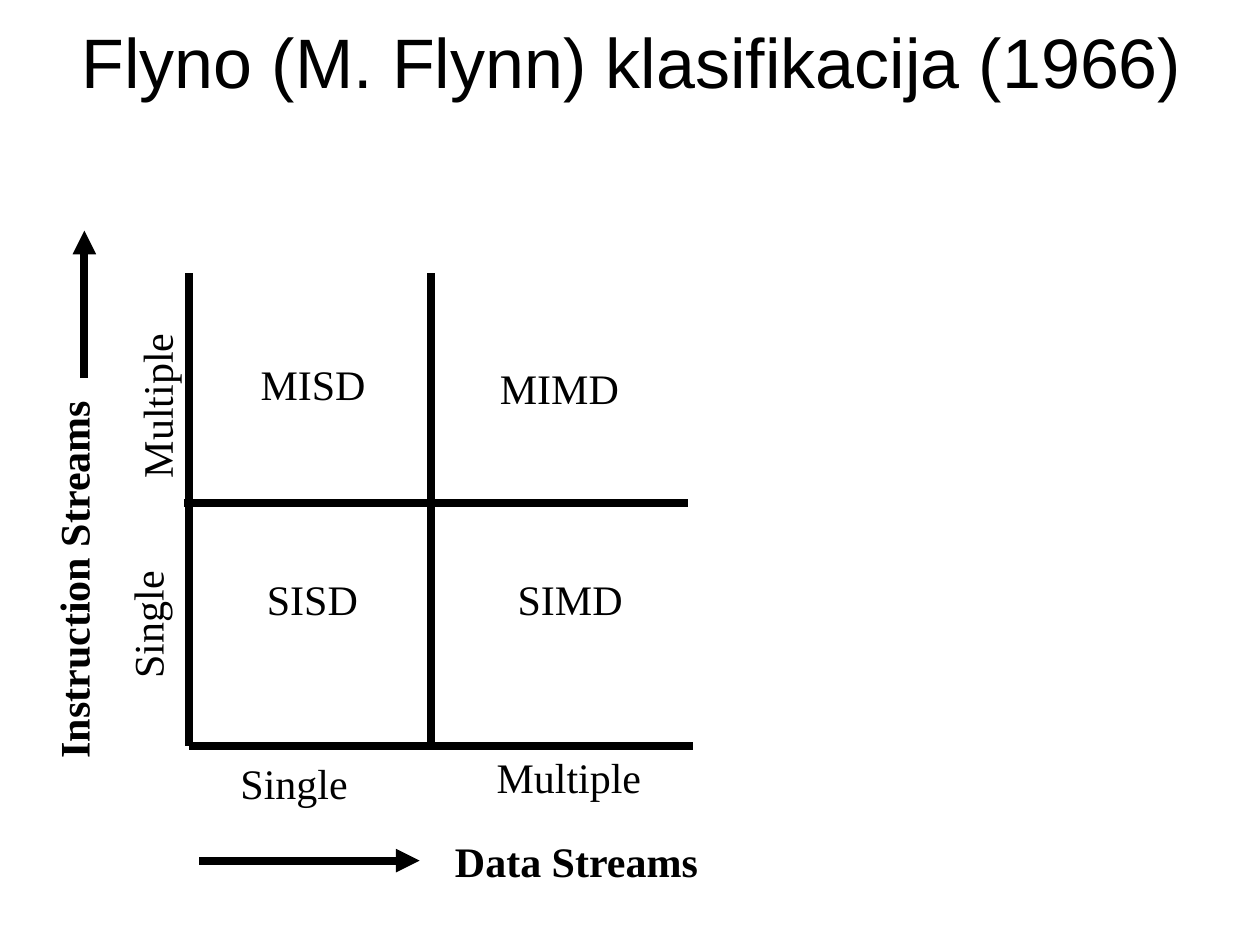
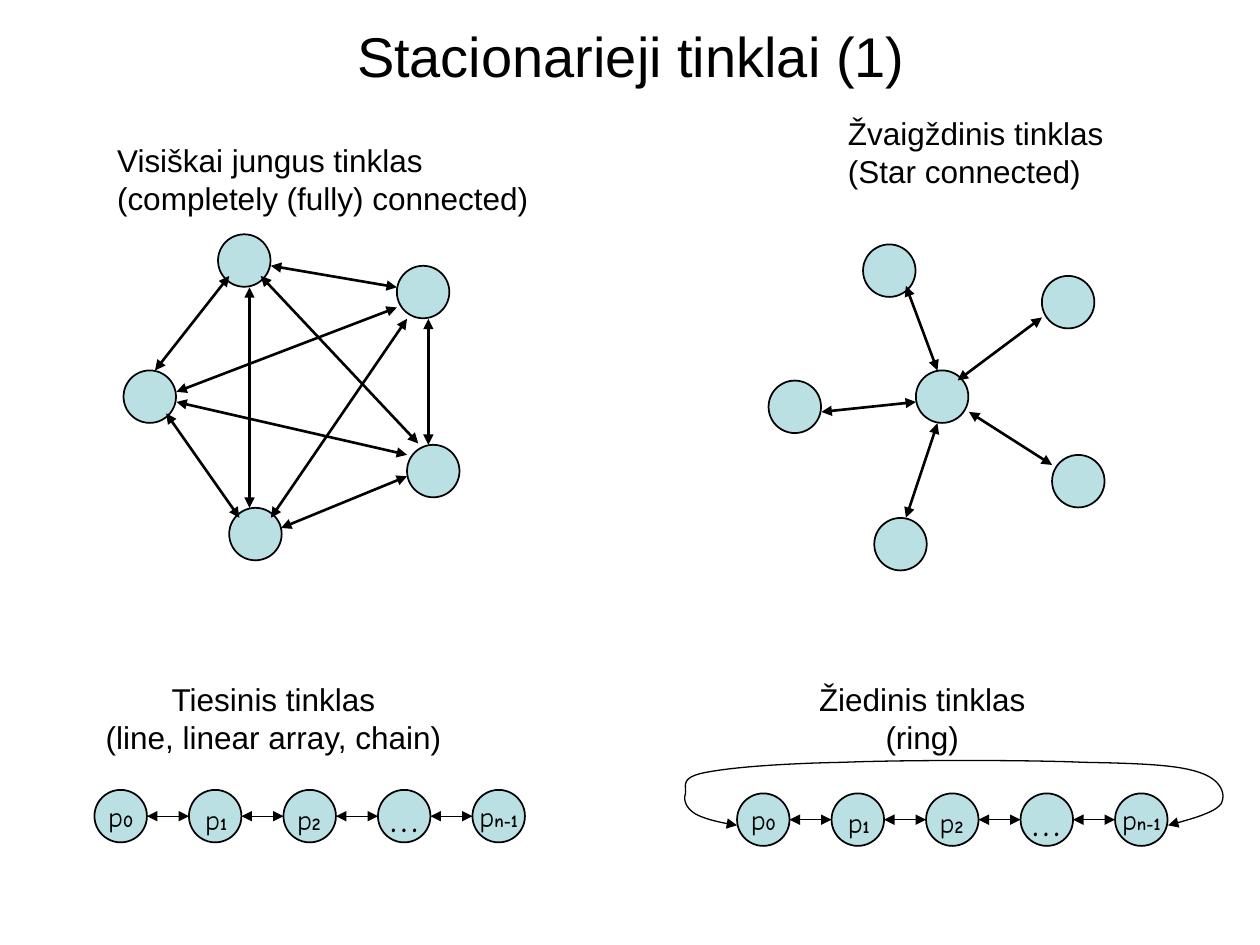
from lxml.etree import SubElement
from pptx import Presentation
from pptx.dml.color import RGBColor
from pptx.enum.shapes import MSO_CONNECTOR, MSO_SHAPE
from pptx.enum.text import MSO_ANCHOR, MSO_AUTO_SIZE, PP_ALIGN
from pptx.oxml.ns import qn
from pptx.util import Pt

INK = "000000"
TEAL = "BBE0E3"
SANS = "Arial"
SERIF = "Times New Roman"
COMIC = "Comic Neue"
SIZE = 30
PITCH = 54
SPARE = 12
BOTH = ("headEnd", "tailEnd")
TIP = ("tailEnd",)

MESH = [(124.6, 133.9), (70.6, 211.7), (232.6, 254.2), (131, 290.2), (226.8, 151.9)]
MESH_LINKS = [
    (232.6, 272.2, 160.6, 301.7),
    (232.6, 182.2, 154.8, 295.9),
    (142.6, 164.2, 142.6, 290.2),
    (136.8, 295.9, 95, 236.2),
    (244.8, 182.2, 244.8, 254.2),
    (226.8, 175.7, 100.8, 223.9),
    (131, 157.7, 88.6, 211.7),
    (226.8, 164.2, 154.8, 151.9),
    (239, 253.4, 149, 157.7),
    (232.6, 259.9, 100.8, 229.7),
]
STAR = [(x + 368.6, y + 5.8) for x, y in MESH] + [(523.4, 211.7)]
STAR_LINKS = [
    (535.7, 241.9, 517.7, 295.9),
    (595.4, 181.4, 547.2, 217.4),
    (601.2, 265.7, 553.7, 235.4),
    (517.7, 163.4, 535.7, 211.7),
    (523.4, 229.7, 469.4, 235.4),
]
LOOP = [
    (421.2, 471.6),
    (411.8, 470.2), (402.5, 468), (397.4, 465.1),
    (392.4, 462.2), (390.2, 457.2), (391.7, 453.6),
    (392.4, 449.3), (388.1, 444.2), (403.2, 441.4),
    (418.3, 438.5), (445.7, 436.3), (481.7, 435.6),
    (517.7, 434.2), (585.4, 434.2), (619.2, 435.6),
    (653, 436.3), (672.5, 437), (685.4, 441.4),
    (698.4, 445.7), (700.6, 454.3), (697.7, 459.4),
    (694.1, 464.4), (681.1, 468), (667.4, 471.6),
]


def tint(code):
    return RGBColor.from_string(code)


def style(run, size, face, bold=False):
    run.font.size = Pt(size)
    run.font.name = face
    run.font.bold = bold
    run.font.color.rgb = tint(INK)


def stroke(shape, width, heads=()):
    shape.line.color.rgb = tint(INK)
    shape.line.width = Pt(width)
    edge = shape._element.find(".//" + qn("a:ln"))
    for end in heads:
        SubElement(edge, qn("a:" + end), type="triangle")


def wire(shapes, ends, width, heads=()):
    line = shapes.add_connector(MSO_CONNECTOR.STRAIGHT, *map(Pt, ends))
    stroke(line, width, heads)
    SubElement(line._element.spPr, qn("a:effectLst"))


def label(shapes, text, spot, size, face, bold=False, align=PP_ALIGN.CENTER, turn=0):
    x, y, wide, high = spot
    if align == PP_ALIGN.CENTER:
        x -= SPARE / 2
    box = shapes.add_textbox(Pt(x), Pt(y), Pt(wide + SPARE), Pt(high))
    box.rotation = turn
    frame = box.text_frame
    frame.text = text
    frame.word_wrap = True
    for para in frame.paragraphs:
        para.alignment = align
        for run in para.runs:
            style(run, size, face, bold)
    return box


def index(para, mark):
    run = para.add_run()
    run.text = mark
    style(run, 10, COMIC, True)


def node(shapes, x, y):
    disc = shapes.add_shape(MSO_SHAPE.OVAL, Pt(x), Pt(y), Pt(SIZE), Pt(SIZE))
    disc.shadow.inherit = False
    disc.fill.solid()
    disc.fill.fore_color.rgb = tint(TEAL)
    stroke(disc, 1)
    return disc


def name(disc, text, size, mark=""):
    frame = disc.text_frame
    frame.word_wrap = False
    frame.vertical_anchor = MSO_ANCHOR.MIDDLE
    para = frame.paragraphs[0]
    para.text = text
    para.alignment = PP_ALIGN.CENTER
    style(para.runs[0], size, COMIC)
    if mark:
        index(para, mark)


def net(slide, spots, links):
    shapes = slide.shapes.add_group_shape().shapes
    for spot in spots:
        node(shapes, *spot)
    for link in links:
        wire(shapes, link, 1.5, BOTH)


def chain(slide, left, top):
    shapes = slide.shapes.add_group_shape().shapes
    discs = [node(shapes, left + i * PITCH, top) for i in range(5)]
    name(discs[0], "p", 16, "0")
    name(discs[3], "…", 24)
    name(discs[4], "p", 16, "n-1")
    mid = top + SIZE / 2
    for i in range(4):
        start = left + i * PITCH + SIZE
        wire(shapes, (start, mid, start + PITCH - SIZE, mid), 0.75, BOTH)
    for i, shift in ((1, 2.2), (2, 0.7)):
        spot = (left + i * PITCH + shift, top + 3.6, 27, 26.6)
        box = label(shapes, "p", spot, 16, COMIC, align=PP_ALIGN.LEFT)
        index(box.text_frame.paragraphs[0], str(i))
    return shapes


def bend(knots, steps=12):
    for i in range(0, len(knots) - 1, 3):
        a, b, c, d = knots[i:i + 4]
        for step in range(1, steps + 1):
            t = step / steps
            u = 1 - t
            yield tuple(
                Pt(u**3 * p + 3 * u * u * t * q + 3 * u * t * t * r + t**3 * s)
                for p, q, r, s in zip(a, b, c, d)
            )


def curve(shapes, knots):
    pen = shapes.build_freeform(*map(Pt, knots[0]))
    pen.add_line_segments(list(bend(knots)), close=False)
    path = pen.convert_to_shape()
    path.shadow.inherit = False
    path.fill.background()
    stroke(path, 0.75, BOTH)


def page(deck, text, size, high):
    slide = deck.slides.add_slide(deck.slide_layouts[5])
    head = slide.shapes.title
    head.left, head.top, head.width, head.height = map(Pt, (36.7, 15.1, 648, high))
    frame = head.text_frame
    frame.text = text
    frame.auto_size = MSO_AUTO_SIZE.NONE
    frame.margin_left = frame.margin_right = 0
    frame.vertical_anchor = MSO_ANCHOR.MIDDLE
    frame.paragraphs[0].alignment = PP_ALIGN.CENTER
    style(frame.paragraphs[0].runs[0], size, SANS)
    return slide


def classes(deck):
    shapes = page(deck, "Flyno (M. Flynn) klasifikacija (1966)", 40, 38.9).shapes
    for x, y in ((108, 426.2), (105.1, 287.3)):
        wire(shapes, (x, y, x + 288, y), 4.5)
    for x in (108, 246.2):
        wire(shapes, (x, 426.2, x, 156.2), 4.5)
    for text, x, y, wide, turn, bold in (
        ("MISD", 141.8, 201.6, 74.2, 0, False),
        ("SISD", 145.4, 324, 66.2, 0, False),
        ("MIMD", 278.6, 203.8, 82.1, 0, False),
        ("SIMD", 288.7, 324, 74.2, 0, False),
        ("Single", 130.3, 429.1, 75.6, 0, False),
        ("Multiple", 276.5, 426.2, 97.2, 0, False),
        ("Single", 46.1, 339.1, 75.6, 270, False),
        ("Multiple", 36.7, 213.8, 105.1, 270, False),
        ("Data Streams", 252.7, 473.8, 153.4, 0, True),
        ("Instruction Streams", -67.7, 313.2, 218.9, 270, True),
    ):
        label(shapes, text, (x, y, wide, 36), 24, SERIF, bold, turn=turn)
    wire(shapes, (113.8, 491.8, 239.8, 491.8), 4.5, TIP)
    wire(shapes, (48.2, 216, 48.2, 131.8), 4.5, TIP)


def networks(deck):
    slide = page(deck, "Stacionarieji tinklai (1)", 32, 33.1)
    net(slide, MESH, MESH_LINKS)
    net(slide, STAR, STAR_LINKS)
    chain(slide, 54, 451.4)
    ring = chain(slide, 421.2, 453.4)
    curve(ring, LOOP)
    for text, x, y, wide, align in (
        ("Visiškai jungus tinklas\n(completely (fully) connected)", 59.8, 77, 260.6, PP_ALIGN.LEFT),
        ("Žvaigždinis tinklas\n(Star connected)", 477.4, 61.9, 160.6, PP_ALIGN.LEFT),
        ("Tiesinis tinklas\n(line, linear array, chain)", 52.6, 385.2, 207.4, PP_ALIGN.CENTER),
        ("Žiedinis tinklas\n(ring)", 460.8, 385.2, 132.5, PP_ALIGN.CENTER),
    ):
        label(slide.shapes, text, (x, y, wide, 50.4), 18, SANS, align=align)


def main():
    deck = Presentation()
    deck.slide_width, deck.slide_height = Pt(720), Pt(540)
    classes(deck)
    networks(deck)
    deck.save("out.pptx")


if __name__ == "__main__":
    main()
